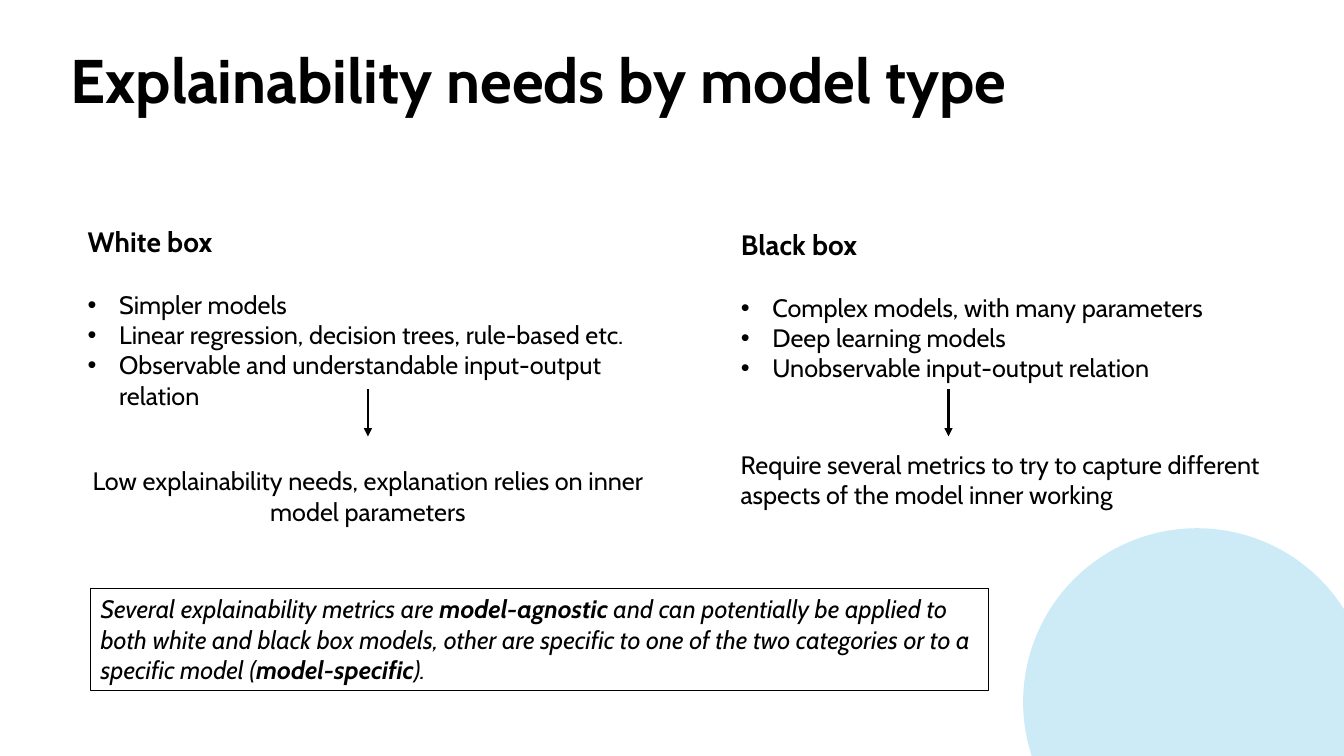
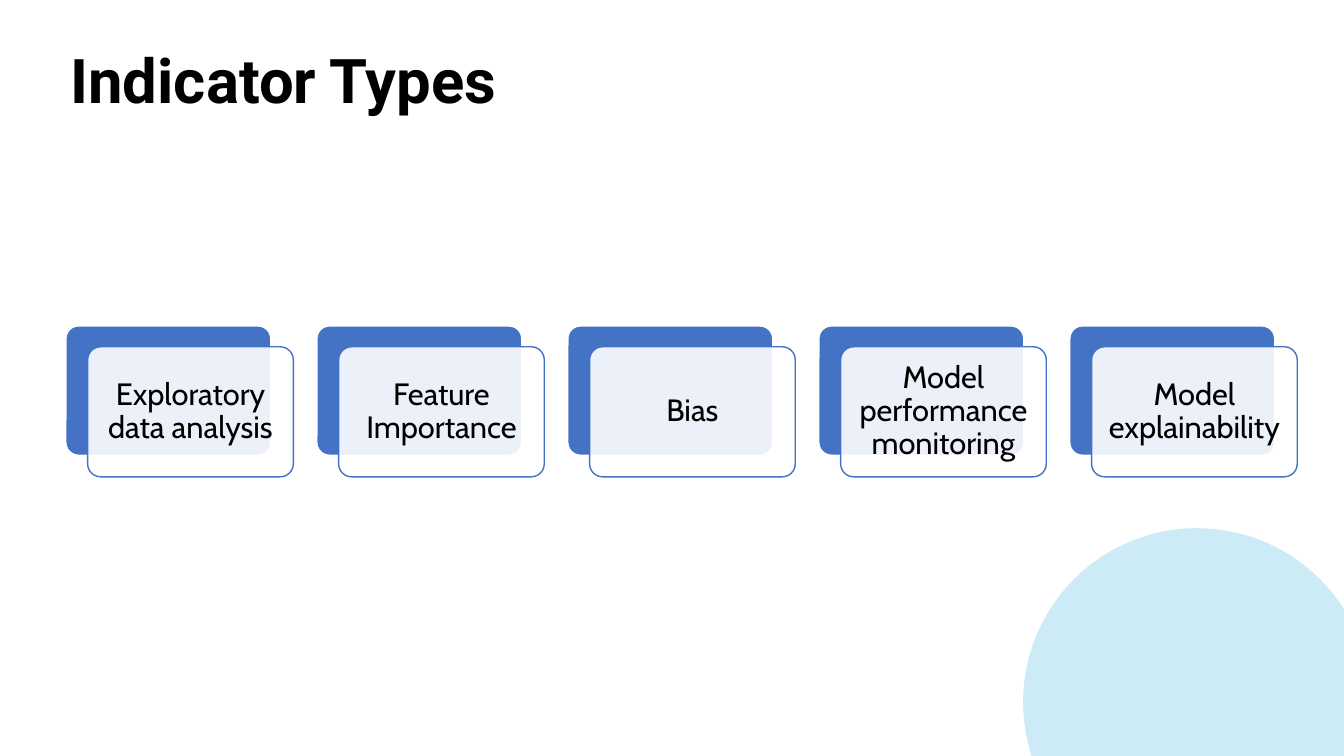
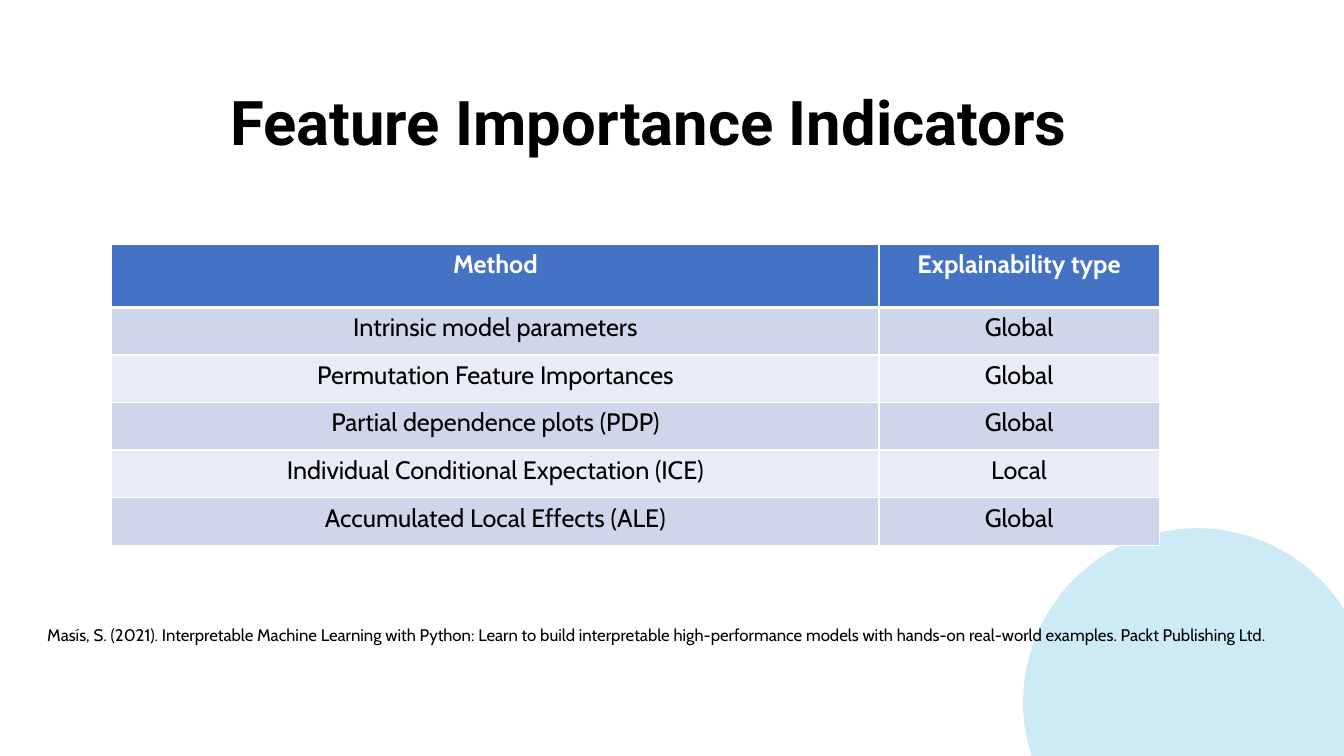
from lxml import etree
from pptx import Presentation
from pptx.dml.color import RGBColor
from pptx.enum.shapes import MSO_CONNECTOR, MSO_SHAPE
from pptx.enum.text import MSO_ANCHOR, MSO_AUTO_SIZE, PP_ALIGN
from pptx.oxml.ns import qn
from pptx.util import Pt

LEFT, CENTER = PP_ALIGN.LEFT, PP_ALIGN.CENTER
TOP, MIDDLE = MSO_ANCHOR.TOP, MSO_ANCHOR.MIDDLE
NO_FIT = MSO_AUTO_SIZE.NONE
RECTANGLE, ROUNDED = MSO_SHAPE.RECTANGLE, MSO_SHAPE.ROUNDED_RECTANGLE
ELLIPSE = MSO_SHAPE.OVAL
STRAIGHT = MSO_CONNECTOR.STRAIGHT

TITLE_ONLY, TWO_CONTENT = 5, 3
BODY_FONT, TITLE_FONT = "Cabin", "Roboto"
BLACK, WHITE, BLUE, SKY = "000000", "FFFFFF", "4472C4", "CDEBF7"
BANDS = ("CFD5EA", "E9EBF5")


def color(code):
    return RGBColor.from_string(code)


def add_xml(parent, tag, **attributes):
    return etree.SubElement(parent, qn(tag), attributes)


def place(item, left, top, width, height):
    item.left, item.top = Pt(left), Pt(top)
    item.width, item.height = Pt(width), Pt(height)


class Deck:
    """Holds the shared style and the slide being filled."""

    def __init__(self):
        self.deck = Presentation()
        self.deck.slide_width, self.deck.slide_height = Pt(960), Pt(540)
        self.page = None

    def add_page(self, title, layout=TITLE_ONLY, font=TITLE_FONT,
                 left=43.2, top=28.8, align=LEFT):
        self.page = self.deck.slides.add_slide(self.deck.slide_layouts[layout])
        self.shape(ELLIPSE, 730.8, 377.28, 248.4, 248.4, SKY)
        box = self.page.shapes.title
        place(box, left, top, 828, 61.92)
        frame = box.text_frame
        frame.auto_size, frame.vertical_anchor = NO_FIT, MIDDLE
        para = frame.paragraphs[0]
        para.line_spacing = 0.9
        self.fill_para(para, title, 44, align, bold=True, font=font)

    def fill_para(self, para, text, size=18, align=LEFT, bold=False,
                  italic=False, ink=BLACK, font=BODY_FONT):
        """Fill a paragraph; text is a string or (words, bold) pairs."""
        para.alignment = align
        style = para.font
        style.name, style.size, style.italic = font, Pt(size), italic
        style.color.rgb = color(ink)
        if isinstance(text, str):
            style.bold = bold
            para.add_run().text = text
            return
        for words, strong in text:
            span = para.add_run()
            span.text, span.font.bold = words, strong

    def shape(self, kind, left, top, width, height, fill, line=None, weight=1):
        item = self.page.shapes.add_shape(
            kind, Pt(left), Pt(top), Pt(width), Pt(height))
        item.shadow.inherit = False
        item.fill.solid()
        item.fill.fore_color.rgb = color(fill)
        if line:
            item.line.color.rgb = color(line)
            item.line.width = Pt(weight)
        else:
            item.line.fill.background()
        return item

    def text(self, text, left, top, width, height, size=18, align=LEFT):
        box = self.page.shapes.add_textbox(
            Pt(left), Pt(top), Pt(width), Pt(height))
        box.text_frame.word_wrap = True
        self.fill_para(box.text_frame.paragraphs[0], text, size, align)

    def framed_text(self, spans, left, top, width, height):
        box = self.shape(RECTANGLE, left, top, width, height, WHITE, BLACK)
        box.text_frame.word_wrap = True
        box.text_frame.vertical_anchor = TOP
        self.fill_para(box.text_frame.paragraphs[0], spans, italic=True)

    def bullet_list(self, index, heading, items, left, top, width, height):
        """Fill body placeholder number index with a heading and bullets."""
        box = self.page.placeholders[index]
        place(box, left, top, width, height)
        frame = box.text_frame
        frame.auto_size, frame.vertical_anchor = NO_FIT, TOP
        for number, text in enumerate([heading, *items]):
            para = frame.add_paragraph() if number else frame.paragraphs[0]
            para.space_before = Pt(22 if number == 1 else 0)
            props = para._p.get_or_add_pPr()
            indent = Pt(22.5) if number else 0
            props.set("marL", str(indent))
            props.set("indent", str(-indent))
            if number:
                add_xml(props, "a:buFont", typeface="Arial")
                add_xml(props, "a:buChar", char="•")
                self.fill_para(para, text)
            else:
                add_xml(props, "a:buNone")
                self.fill_para(para, text, 20, bold=True)

    def down_arrow(self, x, top, bottom):
        arrow = self.page.shapes.add_connector(
            STRAIGHT, Pt(x), Pt(top), Pt(x), Pt(bottom))
        arrow.line.color.rgb = color(BLACK)
        arrow.line.width = Pt(1.75)
        properties = arrow._element.spPr
        add_xml(properties.find(qn("a:ln")), "a:tailEnd", type="triangle")
        add_xml(properties, "a:effectLst")

    def card(self, text, left, top):
        """Draw a blue card with a translucent labelled card before it."""
        width, height = 146.88, 92.88
        back = self.shape(ROUNDED, left, top, width, height, BLUE, WHITE, 1.5)
        front = self.shape(ROUNDED, left + 15.84, top + 15.12, width, height,
                           WHITE, BLUE)
        for item in (back, front):
            item.adjustments[0] = 0.1
        tint = front._element.spPr.find(qn("a:solidFill"))[0]
        add_xml(tint, "a:alpha", val="90000")
        frame = front.text_frame
        frame.word_wrap, frame.vertical_anchor = True, MIDDLE
        frame.margin_left = frame.margin_right = Pt(6.5)
        frame.margin_top = frame.margin_bottom = Pt(6.5)
        frame.paragraphs[0].line_spacing = 0.9
        self.fill_para(frame.paragraphs[0], text, 22, CENTER)

    def table(self, rows, left, top, widths, header_height, row_height):
        height = header_height + row_height * (len(rows) - 1)
        grid = self.page.shapes.add_table(
            len(rows), len(widths), Pt(left), Pt(top),
            Pt(sum(widths)), Pt(height)).table
        for column, width in zip(grid.columns, widths):
            column.width = Pt(width)
        for r, row in enumerate(rows):
            grid.rows[r].height = Pt(row_height if r else header_height)
            for c, text in enumerate(row):
                cell = grid.cell(r, c)
                self.cell_borders(cell, top=3 if r == 1 else 1,
                                  bottom=1 if r else 3)
                cell.fill.solid()
                cell.fill.fore_color.rgb = color(
                    BANDS[(r - 1) % 2] if r else BLUE)
                self.fill_para(cell.text_frame.paragraphs[0], text,
                               align=CENTER, bold=r == 0,
                               ink=BLACK if r else WHITE)

    def cell_borders(self, cell, top, bottom):
        props = cell._tc.get_or_add_tcPr()
        for side, weight in (("L", 1), ("R", 1), ("T", top), ("B", bottom)):
            line = add_xml(props, "a:ln" + side, w=str(Pt(weight)))
            add_xml(add_xml(line, "a:solidFill"), "a:srgbClr", val=WHITE)


def add_model_types(deck):
    deck.add_page("Explainability needs by model type", TWO_CONTENT, BODY_FONT)
    deck.bullet_list(1, "White box", [
        "Simpler models",
        "Linear regression, decision trees, rule-based etc.",
        "Observable and understandable input-output relation",
    ], 55.44, 156.96, 414.72, 140.4)
    deck.bullet_list(2, "Black box", [
        "Complex models, with many parameters",
        "Deep learning models",
        "Unobservable input-output relation",
    ], 522, 159.12, 367.92, 118.8)
    for x in (262.8, 677.52):
        deck.down_arrow(x, 277.92, 311.76)
    deck.text("Low explainability needs, explanation relies on inner model "
              "parameters", 55.44, 329.04, 414.72, 51.12, align=CENTER)
    deck.text("Require several metrics to try to capture different aspects of "
              "the model inner working", 522, 317.52, 414.72, 51.12)
    deck.framed_text([
        ("Several explainability metrics are ", False),
        ("model-agnostic", True),
        (" and can potentially be applied to both white and black box models, "
         "other are specific to one of the two categories or to a specific "
         "model (", False),
        ("model-specific", True),
        (").", False),
    ], 64.8, 420.48, 641.52, 72.72)


def add_indicator_types(deck):
    deck.add_page("Indicator Types")
    labels = ["Exploratory data analysis", "Feature Importance", "Bias",
              "Model performance monitoring", "Model explainability"]
    for number, label in enumerate(labels):
        deck.card(label, 46.8 + number * 179.28, 232.56)


def add_feature_importance(deck):
    deck.add_page("Feature Importance Indicators", left=49.68, top=59.04,
                  align=CENTER)
    deck.table([
        ("Method", "Explainability type"),
        ("Intrinsic model parameters", "Global"),
        ("Permutation Feature Importances", "Global"),
        ("Partial dependence plots (PDP)", "Global"),
        ("Individual Conditional Expectation (ICE)", "Local"),
        ("Accumulated Local Effects (ALE)", "Global"),
    ], 79.92, 174.24, (547.92, 200.16), 45.36, 33.98)
    deck.text("Masís, S. (2021). Interpretable Machine Learning with Python: "
              "Learn to build interpretable high-performance models with "
              "hands-on real-world examples. Packt Publishing Ltd.",
              26.64, 442.8, 905.76, 21.6, size=12)


def main():
    deck = Deck()
    add_model_types(deck)
    add_indicator_types(deck)
    add_feature_importance(deck)
    deck.deck.save("out.pptx")


if __name__ == "__main__":
    main()
